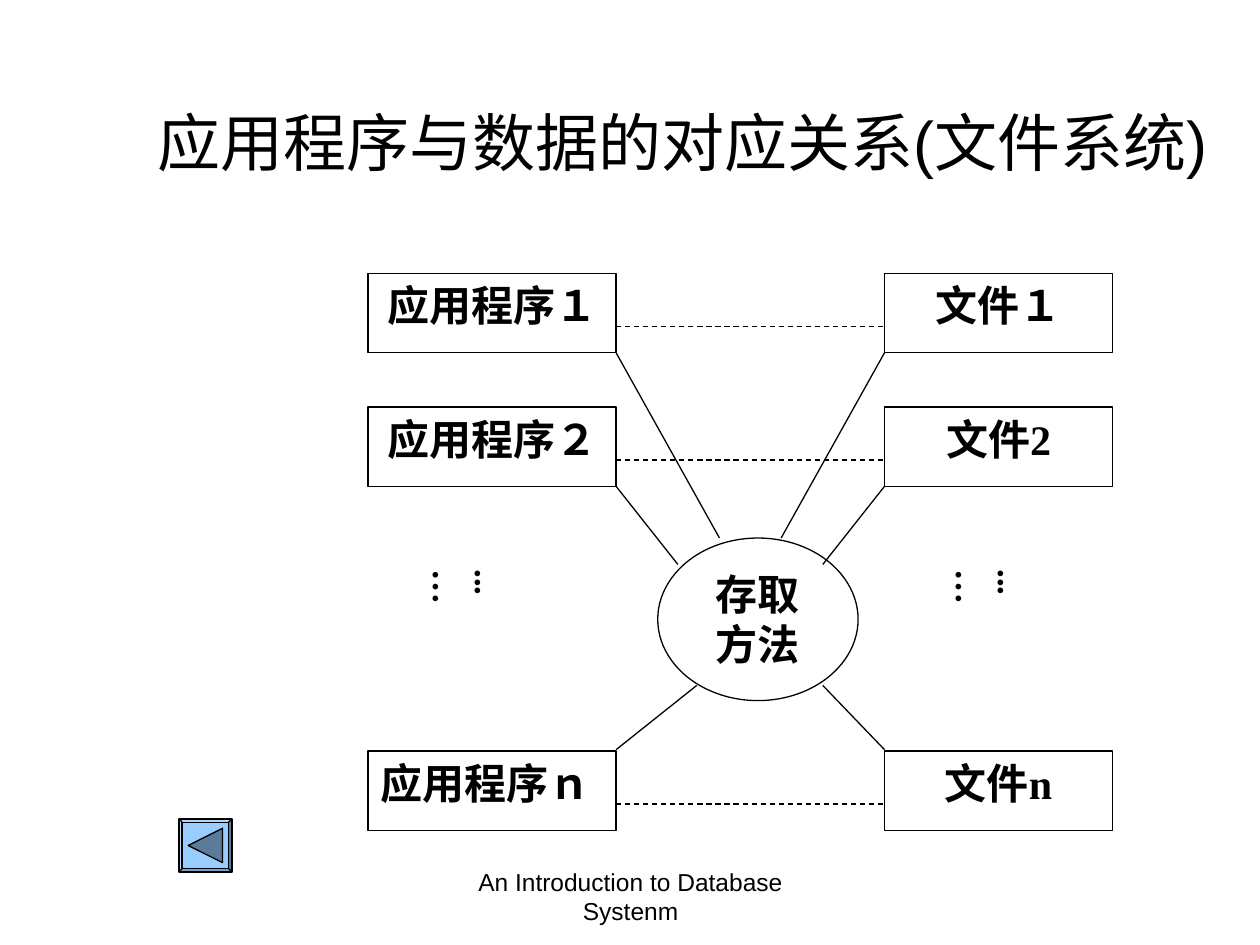
from collections import namedtuple

from lxml.etree import SubElement
from pptx import Presentation
from pptx.dml.color import RGBColor
from pptx.enum.dml import MSO_LINE
from pptx.enum.shapes import MSO_CONNECTOR, MSO_SHAPE
from pptx.enum.text import MSO_ANCHOR, MSO_AUTO_SIZE, PP_ALIGN
from pptx.oxml.ns import qn
from pptx.util import Inches, Pt

Box = namedtuple("Box", "left top width height")
SERIF = "Times New Roman"
SANS = "Arial"


def color(value):
    return RGBColor.from_string(value)


def lengths(box):
    return [Inches(value) for value in box]


def write_text(shape, text, size=24, font=SERIF, bold=False,
               align=PP_ALIGN.CENTER, anchor=MSO_ANCHOR.TOP, margins=(0.1, 0.05)):
    frame = shape.text_frame
    frame.word_wrap = True
    frame.vertical_anchor = anchor
    frame.margin_left = frame.margin_right = Inches(margins[0])
    frame.margin_top = frame.margin_bottom = Inches(margins[1])
    para = frame.paragraphs[0]
    para.alignment = align
    span = para.add_run()
    span.text = text
    span.font.name = font
    span.font.size = Pt(size)
    span.font.bold = bold
    span.font.color.rgb = color("000000")


def add_outlined(page, kind, box, fill="FFFFFF"):
    shape = page.shapes.add_shape(kind, *lengths(box))
    shape.shadow.inherit = False
    shape.fill.solid()
    shape.fill.fore_color.rgb = color(fill)
    shape.line.color.rgb = color("000000")
    shape.line.width = Pt(0.75)
    return shape


def add_line(page, start, end, dashed=False):
    line = page.shapes.add_connector(MSO_CONNECTOR.STRAIGHT, *lengths(start + end))
    line.line.color.rgb = color("000000")
    line.line.width = Pt(0.75)
    if dashed:
        line.line.dash_style = MSO_LINE.DASH
    SubElement(line._element.spPr, qn("a:effectLst"))


def add_text(page, box, text, **style):
    shape = page.shapes.add_textbox(*lengths(box))
    write_text(shape, text, **style)
    return shape


def add_ellipsis(page, box):
    shape = add_text(page, box, "...…", size=20, bold=True,
                     align=PP_ALIGN.LEFT, margins=(0.05, 0.1))
    shape.text_frame.auto_size = MSO_AUTO_SIZE.SHAPE_TO_FIT_TEXT
    shape.text_frame._txBody.bodyPr.set("vert", "eaVert")


def add_mapping(page, box):
    program_width, file_width, row_height = 1.97, 1.81, 0.63
    inner_left = box.left + program_width
    inner_right = box.left + box.width - file_width
    rows = [
        (0, "应用程序１", "文件１", PP_ALIGN.CENTER),
        (1.06, "应用程序２", "文件2", PP_ALIGN.CENTER),
        (3.79, "应用程序ｎ", "文件n", PP_ALIGN.JUSTIFY),
    ]
    for offset, program, file, align in rows:
        top = box.top + offset
        program_box = Box(box.left, top, program_width, row_height)
        file_box = Box(inner_right, top, file_width, row_height)
        write_text(add_outlined(page, MSO_SHAPE.RECTANGLE, program_box),
                   program, bold=True, align=align)
        write_text(add_outlined(page, MSO_SHAPE.RECTANGLE, file_box), file, bold=True)
        add_line(page, (inner_left, top + 0.42), (inner_right, top + 0.42), dashed=True)

    method_box = Box(box.left + 2.3, box.top + 2.1, 1.59, 1.29)
    method = add_outlined(page, MSO_SHAPE.OVAL, method_box)
    write_text(method, "存取方法", bold=True)

    links = [
        (0.63, 0.82, 0.82, 2.1),
        (1.69, 0.49, 0.49, 2.31),
        (3.78, 0.64, 0.49, 3.27),
    ]
    for outer, left_reach, right_reach, inner in links:
        add_line(page, (inner_left, box.top + outer),
                 (inner_left + left_reach, box.top + inner))
        add_line(page, (inner_right, box.top + outer),
                 (inner_right - right_reach, box.top + inner))

    for offset in (0.65, 4.8):
        add_ellipsis(page, Box(box.left + offset, box.top + 2.25, 0.53, 0.67))


def add_title(page, box):
    add_text(page, box, "应用程序与数据的对应关系(文件系统)", size=36, font=SANS,
             anchor=MSO_ANCHOR.MIDDLE)


def add_back_button(page, box):
    button = add_outlined(page, MSO_SHAPE.BEVEL, box, fill="99CCFF")
    button.adjustments[0] = 0.06
    side = box.width * 0.65
    inset = (box.width - side) / 2
    arrow_box = Box(box.left + inset, box.top + inset, side, side)
    arrow = add_outlined(page, MSO_SHAPE.ISOSCELES_TRIANGLE, arrow_box, fill="5C7A99")
    arrow.rotation = 270


def add_footer(page, box):
    add_text(page, box, "An Introduction to Database Systenm", size=14, font=SANS)


def main():
    deck = Presentation()
    deck.slide_width, deck.slide_height = Inches(10), Inches(7.5)
    page = deck.slides.add_slide(deck.slide_layouts[6])
    add_title(page, Box(1.08, 0.5, 8.67, 1.25))
    add_mapping(page, Box(2.92, 2.17, 5.91, 4.42))
    add_back_button(page, Box(1.42, 6.5, 0.42, 0.42))
    add_footer(page, Box(3.42, 6.83, 3.17, 0.52))
    deck.save("out.pptx")


if __name__ == "__main__":
    main()
